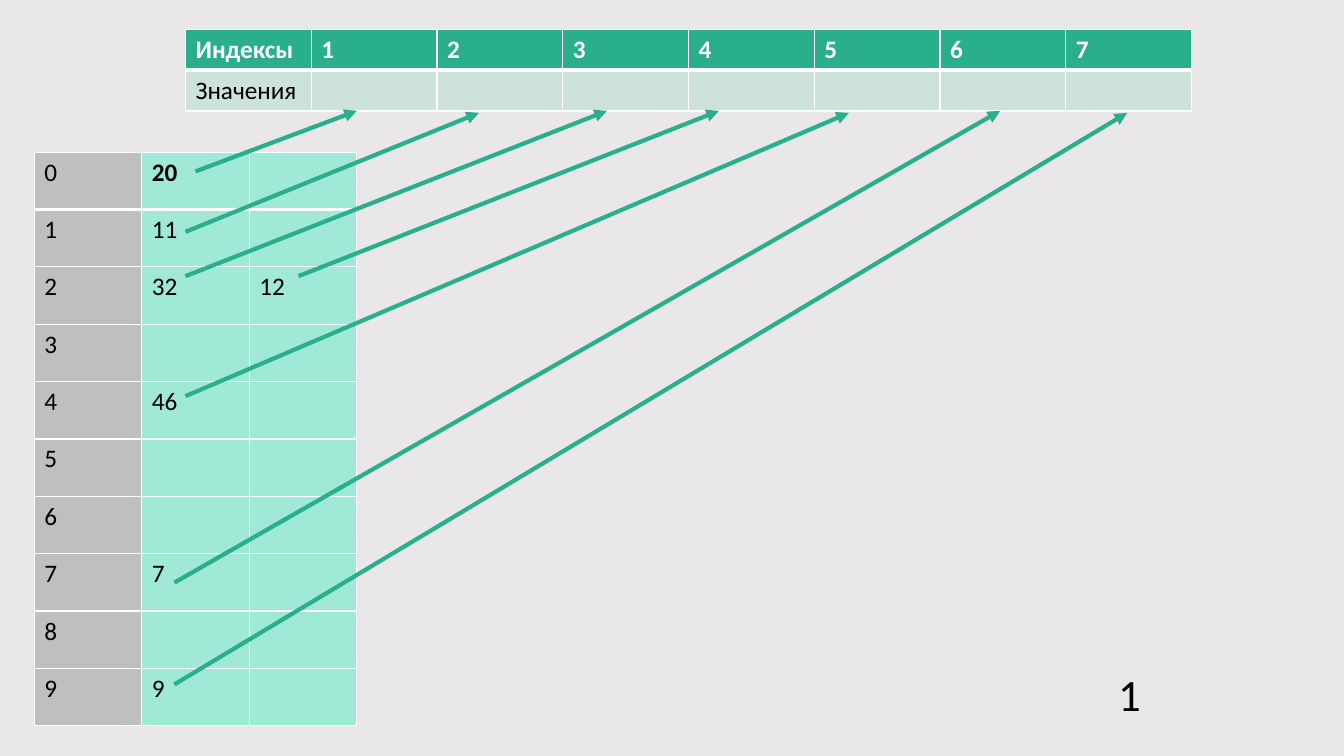
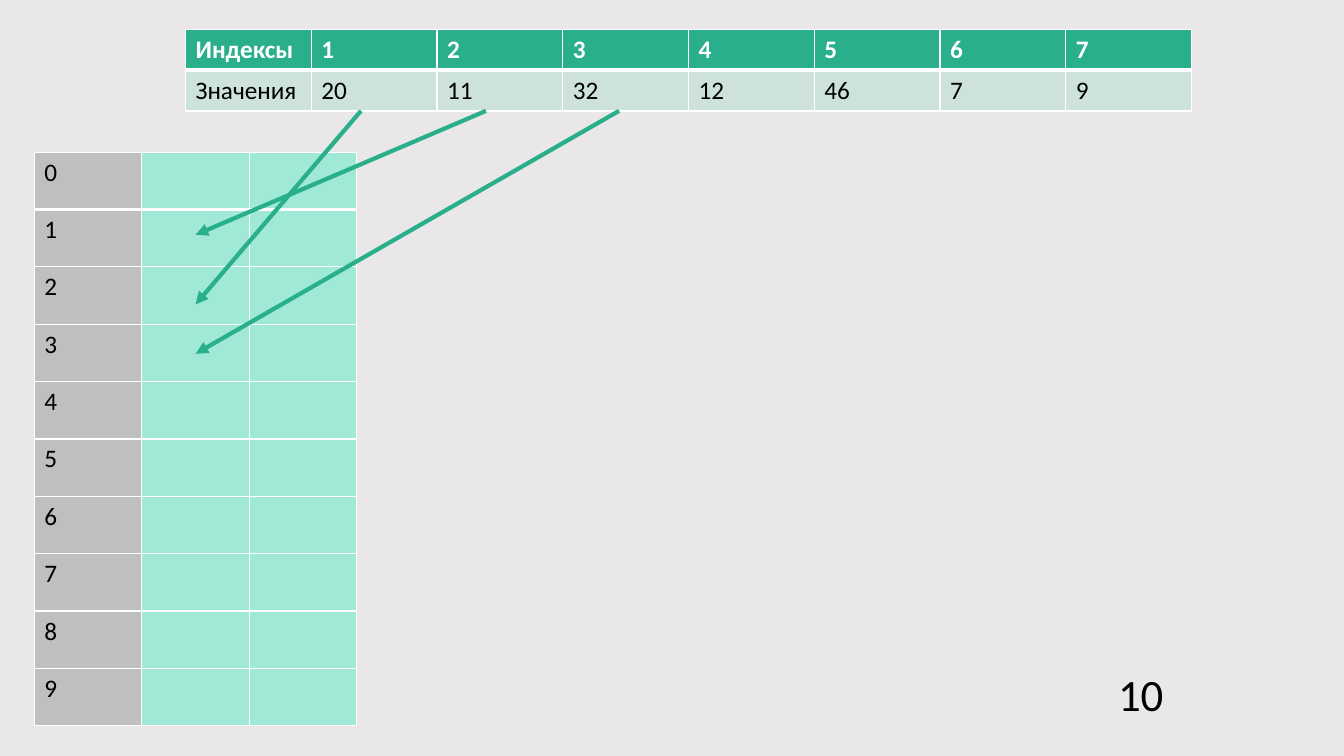
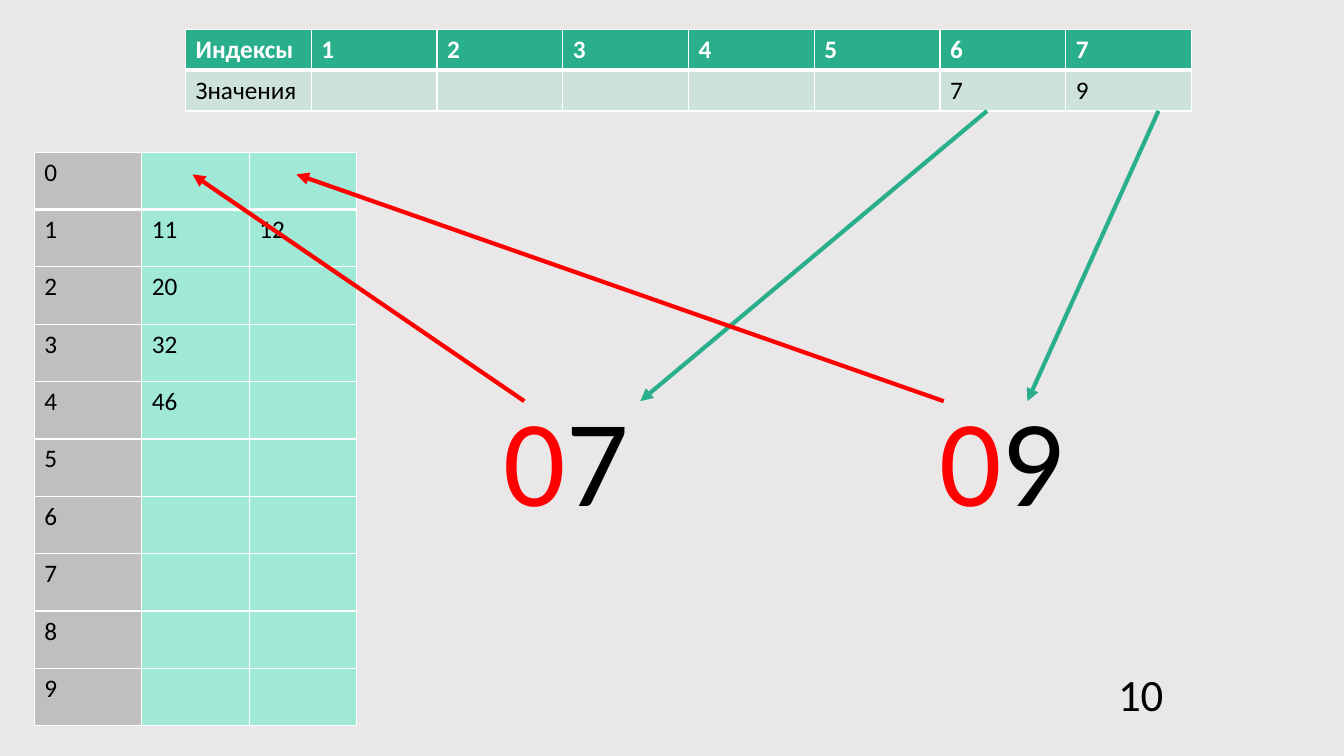
from lxml import etree
from pptx import Presentation
from pptx.dml.color import RGBColor
from pptx.enum.shapes import MSO_CONNECTOR
from pptx.enum.text import MSO_AUTO_SIZE, PP_ALIGN
from pptx.oxml.ns import qn
from pptx.util import Inches, Pt

STRAIGHT = MSO_CONNECTOR.STRAIGHT
GROW = MSO_AUTO_SIZE.SHAPE_TO_FIT_TEXT
LEFT, CENTER = PP_ALIGN.LEFT, PP_ALIGN.CENTER

FONT = "Calibri"
BACKGROUND, WHITE, BLACK, RED = "E9E7E7", "FFFFFF", "000000", "FF0000"
GREEN, PALE_GREEN, MINT, GRAY = "29AF8C", "CDE3DA", "A0E9D6", "BFBFBF"
ARRAY_SIZE = 7
BUCKET_COUNT = 10
ARRAY_BOTTOM = 1.1


def rgb(hex_color):
    return RGBColor.from_string(hex_color)


class Deck:
    """Radix sort slides: an array on top, buckets on the left."""

    def __init__(self):
        self.prs = Presentation()
        self.prs.slide_width, self.prs.slide_height = Inches(13.33), Inches(7.5)
        fill = self.prs.slide_master.background.fill
        fill.solid()
        fill.fore_color.rgb = rgb(BACKGROUND)
        self.slide = None

    def new_slide(self):
        self.slide = self.prs.slides.add_slide(self.prs.slide_layouts[6])

    def set_font(self, font, size, color, bold=False):
        font.name, font.size, font.bold = FONT, Pt(size), bold
        font.color.rgb = rgb(color)

    def cell_borders(self, cell, row):
        """White hairlines, with a thick rule below the first row."""
        properties = cell._tc.get_or_add_tcPr()
        widths = {"a:lnL": 1, "a:lnR": 1,
                  "a:lnT": 3 if row == 1 else 1,
                  "a:lnB": 3 if row == 0 else 1}
        for position, (tag, width) in enumerate(widths.items()):
            border = etree.Element(qn(tag), w=str(Pt(width)))
            fill = etree.SubElement(border, qn("a:solidFill"))
            etree.SubElement(fill, qn("a:srgbClr"), val=WHITE)
            properties.insert(position, border)

    def table(self, rows, box, fill_of, header=False, bold_first_row=False):
        frame = self.slide.shapes.add_table(
            len(rows), len(rows[0]), *map(Inches, box))
        table = frame.table
        table.first_row, table.horz_banding = header, False
        for r, row in enumerate(rows):
            for c, text in enumerate(row):
                cell = table.cell(r, c)
                cell.text = str(text)
                is_header = header and r == 0
                is_bold = is_header or (bold_first_row and r == 0 and c > 0)
                self.set_font(cell.text_frame.paragraphs[0].font, 18,
                              WHITE if is_header else BLACK, is_bold)
                cell.fill.solid()
                cell.fill.fore_color.rgb = rgb(fill_of(r, c))
                self.cell_borders(cell, r)

    def array(self, values):
        """Index row over value row; values maps an index to its number."""
        indexes = range(1, ARRAY_SIZE + 1)
        rows = [["Индексы", *indexes],
                ["Значения", *(values.get(i, "") for i in indexes)]]
        self.table(rows, (1.84, 0.29, 9.98, 0.81),
                   lambda r, c: PALE_GREEN if r else GREEN, header=True)

    def buckets(self, contents):
        """One row per digit; contents maps a digit to its numbers."""
        rows = []
        for digit in range(BUCKET_COUNT):
            first, second = (contents.get(digit, []) + ["", ""])[:2]
            rows.append([digit, first, second])
        self.table(rows, (0.34, 1.51, 3.2, 5.69),
                   lambda r, c: MINT if c else GRAY, bold_first_row=True)

    def arrow(self, start, end, color=GREEN):
        line = self.slide.shapes.add_connector(
            STRAIGHT, *map(Inches, (*start, *end)))
        line.line.color.rgb = rgb(color)
        line.line.width = Pt(3)
        etree.SubElement(line.line._get_or_add_ln(), qn("a:tailEnd"),
                         type="triangle")
        etree.SubElement(line._element.spPr, qn("a:effectLst"))

    def text(self, box, parts, size, align=LEFT):
        """Parts are (text, color) pairs on one line."""
        frame = self.slide.shapes.add_textbox(*map(Inches, box)).text_frame
        frame.word_wrap, frame.auto_size = True, GROW
        paragraph = frame.paragraphs[0]
        paragraph.alignment = align
        self.set_font(paragraph.font, size, parts[0][1])
        for text, color in parts:
            run = paragraph.add_run()
            run.text = text
            if len(parts) > 1:
                run.font.color.rgb = rgb(color)

    def sort_step(self, values, contents, place):
        """New slide with the array, the buckets and the digit place."""
        self.new_slide()
        self.array(values)
        self.buckets(contents)
        self.text((10.99, 6.57, 1.98, 0.64), [(place, BLACK)], 32)


def main():
    deck = Deck()

    # Units: numbers go from the buckets back to the array
    deck.sort_step({}, {0: [20], 1: [11], 2: [32, 12], 4: [46],
                        7: [7], 9: [9]}, "1")
    for start, end in [((1.94, 1.7), (3.54, ARRAY_BOTTOM)),
                       ((1.84, 2.3), (4.75, 1.12)),
                       ((1.84, 2.74), (6.02, ARRAY_BOTTOM)),
                       ((2.96, 2.74), (7.13, ARRAY_BOTTOM)),
                       ((1.84, 3.93), (8.42, 1.12)),
                       ((1.73, 5.78), (9.92, ARRAY_BOTTOM)),
                       ((1.73, 6.79), (11.18, 1.12))]:
        deck.arrow(start, end)

    # Tens: the first numbers go into the buckets
    numbers = [20, 11, 32, 12, 46, 7, 9]
    deck.sort_step(dict(enumerate(numbers, 1)), {}, "10")
    for array_x, bucket_y in [(3.58, 3.02), (4.82, 2.33), (6.14, 3.51)]:
        deck.arrow((array_x, ARRAY_BOTTOM), (1.94, bucket_y))

    # Tens: one-digit numbers get a leading zero
    deck.sort_step({6: 7, 7: 9},
                   {1: [11, 12], 2: [20], 3: [32], 4: [46]}, "10")
    digits_y, bucket_y = 3.98, 1.73
    for digit, box_x, array_x, digit_x, zero_x, bucket_x in [
            ("7", 4.71, 9.79, 6.35, 5.2, 1.91),
            ("9", 9.03, 11.49, 10.19, 9.36, 2.94)]:
        deck.arrow((array_x, ARRAY_BOTTOM), (digit_x, digits_y))
        deck.text((box_x, 3.75, 1.81, 1.58),
                  [("0", RED), (digit, BLACK)], 88, CENTER)
        deck.arrow((zero_x, digits_y), (bucket_x, bucket_y), RED)

    deck.prs.save("out.pptx")


if __name__ == "__main__":
    main()
